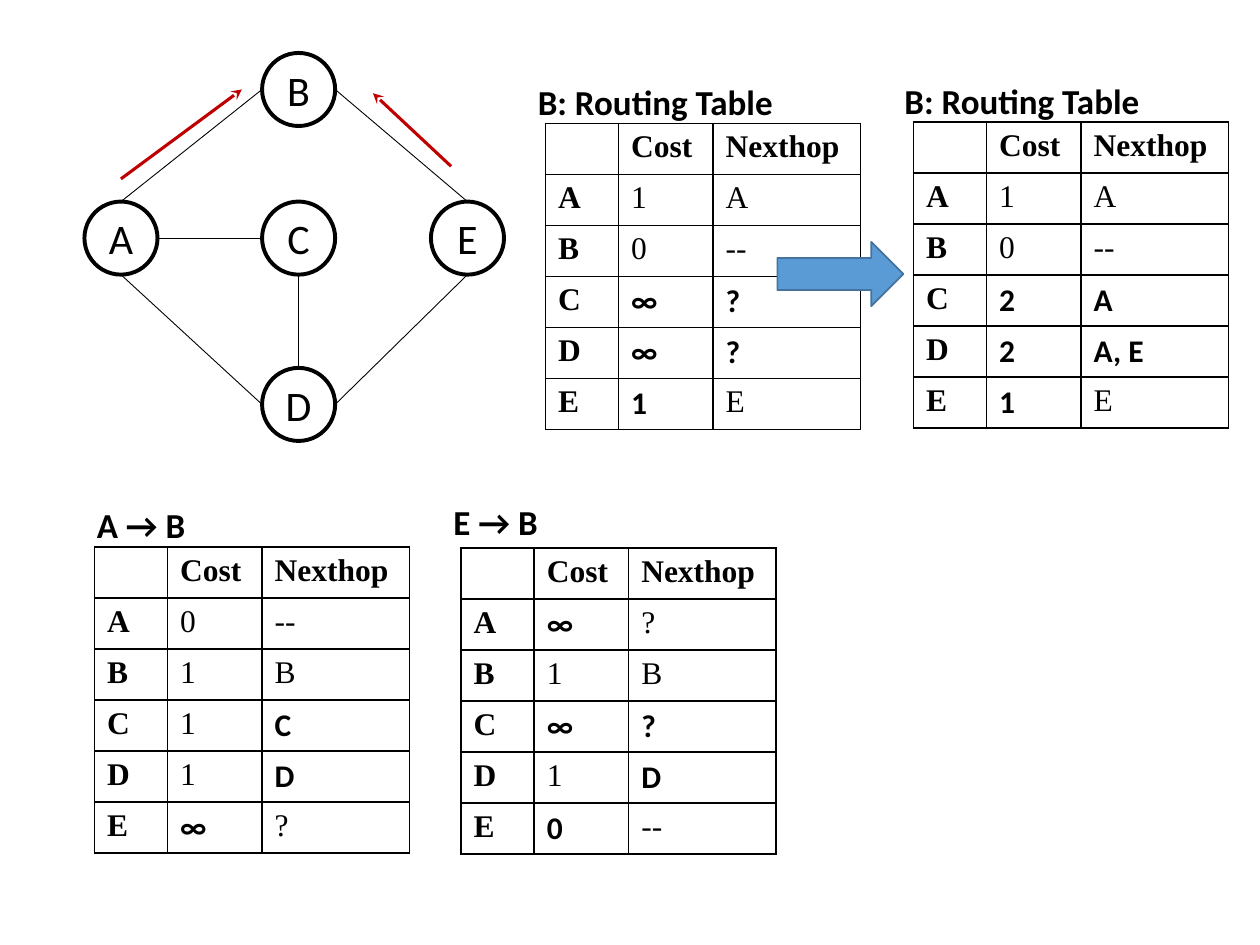
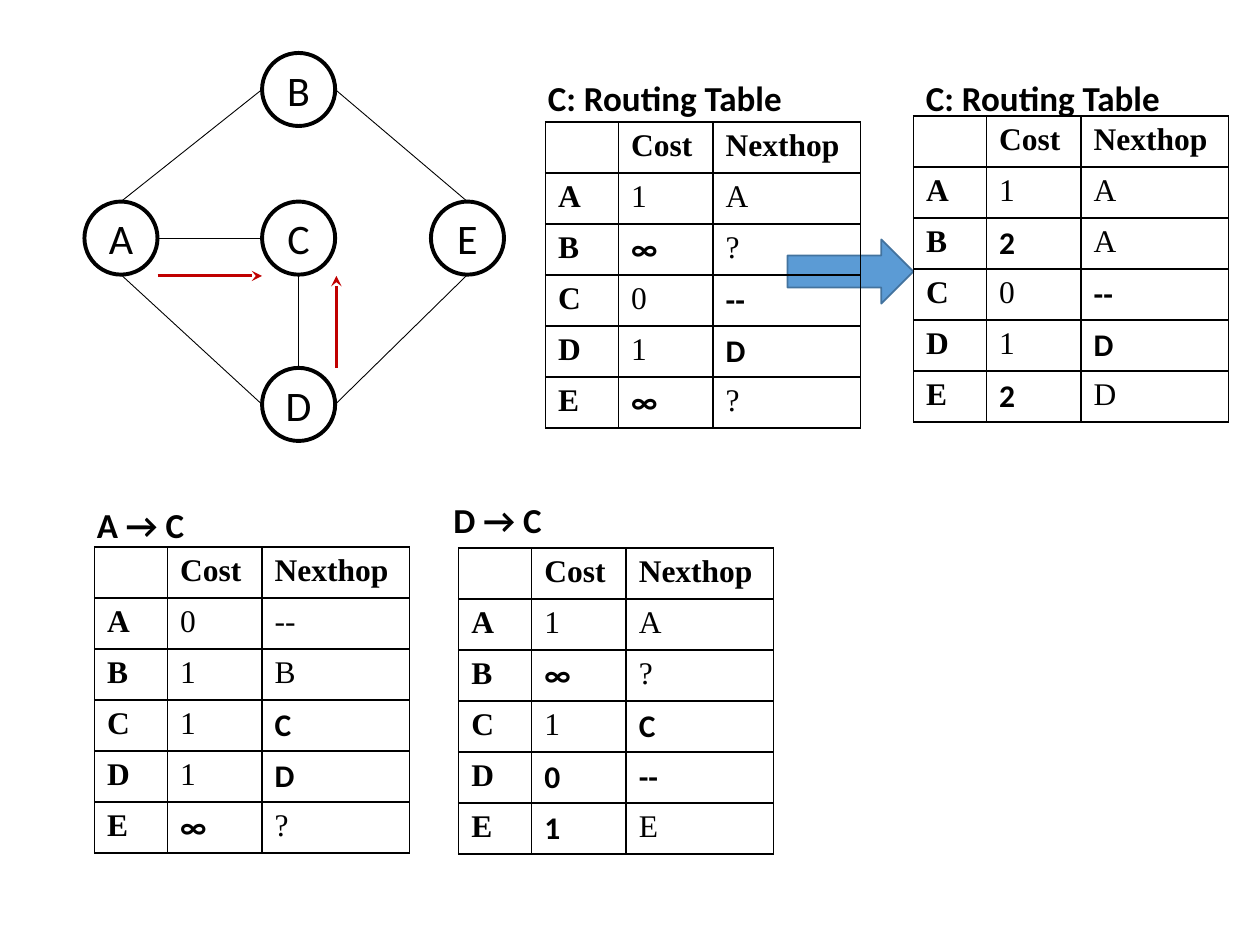
"""Builds two slides that show distance-vector routing updates at nodes B and C."""
from lxml.etree import SubElement
from pptx import Presentation
from pptx.dml.color import RGBColor
from pptx.enum.shapes import MSO_CONNECTOR as Connector, MSO_SHAPE as Shape
from pptx.enum.text import MSO_ANCHOR as Anchor, MSO_AUTO_SIZE as AutoSize, PP_ALIGN as Align
from pptx.oxml.ns import qn
from pptx.util import Inches, Pt

BLACK, WHITE, RED, BLUE, DARK_BLUE = "000000", "FFFFFF", "C00000", "5B9BD5", "43739E"
SANS, SERIF = "Calibri", "Times New Roman"
STRONG = "*"  

NODE_SIZE = 0.58
NODES = {"A": (0.67, 1.6), "B": (2.08, 0.42), "C": (2.08, 1.6), "D": (2.08, 2.92), "E": (3.42, 1.6)}
SIDES = {"top": (0.5, 0), "left": (0, 0.5), "bottom": (0.5, 1), "right": (1, 0.5)}
LINKS = [
    ("A", "top", "B", "left"), ("A", "right", "C", "left"), ("B", "right", "E", "top"),
    ("A", "bottom", "D", "left"), ("C", "bottom", "D", "top"), ("D", "right", "E", "bottom"),
]

HEADER = ["", "Cost", "Nexthop"]
DESTINATIONS = "ABCDE"
COLUMN_WIDTHS = [0.58, 0.75, 1.17]
TABLE_HEIGHT = 2.43
LABEL_SIZE = (2.25, 0.44)
ARROW_SIZE = (1, 0.51)

FROM_A = ["0 --", "1 B", "1 *C", "1 *D", "*∞ ?"]
SLIDES = [
    {
        "messages": [((0.96, 1.42), (1.92, 0.71)), ((3.58, 1.32), (2.96, 0.74))],
        "update_arrow": (6.17, 1.92),
        "arrow_in_front": True,
        "tables": [
            ("A → B", (0.67, 3.95), (0.75, 4.34), FROM_A),
            ("E → B", (3.5, 3.92), (3.66, 4.35), ["*∞ ?", "1 B", "*∞ *?", "1 *D", "*0 --"]),
            ("B: Routing Table", (4.17, 0.59), (4.33, 0.98), ["1 A", "0 --", "*∞ *?", "*∞ *?", "*1 E"]),
            ("B: Routing Table", (7.08, 0.58), (7.25, 0.97), ["1 A", "0 --", "*2 *A", "*2 *A, E", "*1 E"]),
        ],
    },
    {
        "messages": [((1.25, 2.19), (2.08, 2.19)), ((2.67, 2.92), (2.67, 2.19))],
        "update_arrow": (6.25, 1.9),
        "arrow_in_front": False,
        "tables": [
            ("A → C", (0.67, 3.95), (0.75, 4.34), FROM_A),
            ("D → C", (3.5, 3.91), (3.64, 4.35), ["1 A", "*∞ ?", "1 *C", "*0 *--", "*1 E"]),
            ("C: Routing Table", (4.25, 0.56), (4.33, 0.97), ["1 A", "*∞ ?", "0 *--", "1 *D", "*∞ ?"]),
            ("C: Routing Table", (7.25, 0.56), (7.25, 0.92), ["1 A", "*2 A", "0 *--", "1 *D", "*2 D"]),
        ],
    },
]


def color(value):
    return RGBColor.from_string(value)


def inches(*values):
    return [Inches(value) for value in values]


def write(text_frame, text, size, name=SANS, bold=False):
    paragraph = text_frame.paragraphs[0]
    font = paragraph.font
    if text:
        run = paragraph.add_run()
        run.text = text
        font = run.font
    for key, value in {"size": Pt(size), "name": name, "bold": bold}.items():
        setattr(font, key, value)
    font.color.rgb = color(BLACK)
    return paragraph


def add_shape(slide, kind, position, size, fill, line, line_width):
    shape = slide.shapes.add_shape(kind, *inches(*position, *size))
    shape.shadow.inherit = False
    shape.fill.solid()
    shape.fill.fore_color.rgb = color(fill)
    shape.line.color.rgb = color(line)
    shape.line.width = Pt(line_width)
    return shape


def add_node(slide, name):
    shape = add_shape(slide, Shape.OVAL, NODES[name], (NODE_SIZE, NODE_SIZE), WHITE, BLACK, 2.25)
    shape.text_frame.vertical_anchor = Anchor.MIDDLE
    write(shape.text_frame, name, 24).alignment = Align.CENTER


def add_line(slide, start, end, line, width, arrowhead=False):
    connector = slide.shapes.add_connector(Connector.STRAIGHT, *inches(*start, *end))
    connector.line.color.rgb = color(line)
    connector.line.width = Pt(width)
    properties = connector._element.spPr
    if arrowhead:
        SubElement(properties.find(qn("a:ln")), qn("a:tailEnd"), type="stealth")
    SubElement(properties, qn("a:effectLst"))


def side_point(name, side):
    return [start + NODE_SIZE * share for start, share in zip(NODES[name], SIDES[side])]


def add_label(slide, text, position):
    frame = slide.shapes.add_textbox(*inches(*position, *LABEL_SIZE)).text_frame
    for key, value in {"word_wrap": True, "auto_size": AutoSize.SHAPE_TO_FIT_TEXT}.items():
        setattr(frame, key, value)
    write(frame, text, 20, bold=True)


def add_borders(cell):
    properties = cell._tc.get_or_add_tcPr()
    for index, edge in enumerate(("lnL", "lnR", "lnT", "lnB")):
        border = properties.makeelement(qn(f"a:{edge}"), {"w": str(Pt(1))})
        properties.insert(index, border)
        fill = SubElement(border, qn("a:solidFill"))
        SubElement(fill, qn("a:srgbClr"), val=BLACK)


def add_table(slide, position, entries):
    rows = [HEADER] + [[name, *entry.split(" ", 1)] for name, entry in zip(DESTINATIONS, entries)]
    size = (sum(COLUMN_WIDTHS), TABLE_HEIGHT)
    table = slide.shapes.add_table(len(rows), len(HEADER), *inches(*position, *size)).table
    for key in ("first_row", "horz_banding"):
        setattr(table, key, False)
    for column, width in zip(table.columns, COLUMN_WIDTHS):
        column.width = Inches(width)
    for row_index, row in enumerate(rows):
        for column_index, text in enumerate(row):
            cell = table.cell(row_index, column_index)
            strong = text.startswith(STRONG)
            heading = row_index == 0 or column_index == 0
            cell.fill.background()
            add_borders(cell)
            write(cell.text_frame, text.lstrip(STRONG), 18, SANS if strong else SERIF, strong or heading)


def add_network(slide):
    for name in NODES:
        add_node(slide, name)
    for first, first_side, second, second_side in LINKS:
        add_line(slide, side_point(first, first_side), side_point(second, second_side), BLACK, 0.5)


def add_update_arrow(slide, position):
    add_shape(slide, Shape.RIGHT_ARROW, position, ARROW_SIZE, BLUE, DARK_BLUE, 1)


def build_slide(presentation, content):
    slide = presentation.slides.add_slide(presentation.slide_layouts[6])
    add_network(slide)
    for start, end in content["messages"]:
        add_line(slide, start, end, RED, 1.75, arrowhead=True)
    if not content["arrow_in_front"]:
        add_update_arrow(slide, content["update_arrow"])
    for label, label_position, table_position, entries in content["tables"]:
        add_label(slide, label, label_position)
        add_table(slide, table_position, entries)
    if content["arrow_in_front"]:
        add_update_arrow(slide, content["update_arrow"])


def main():
    presentation = Presentation()
    presentation.slide_width, presentation.slide_height = inches(10, 7.5)
    for content in SLIDES:
        build_slide(presentation, content)
    presentation.save("out.pptx")


if __name__ == "__main__":
    main()
